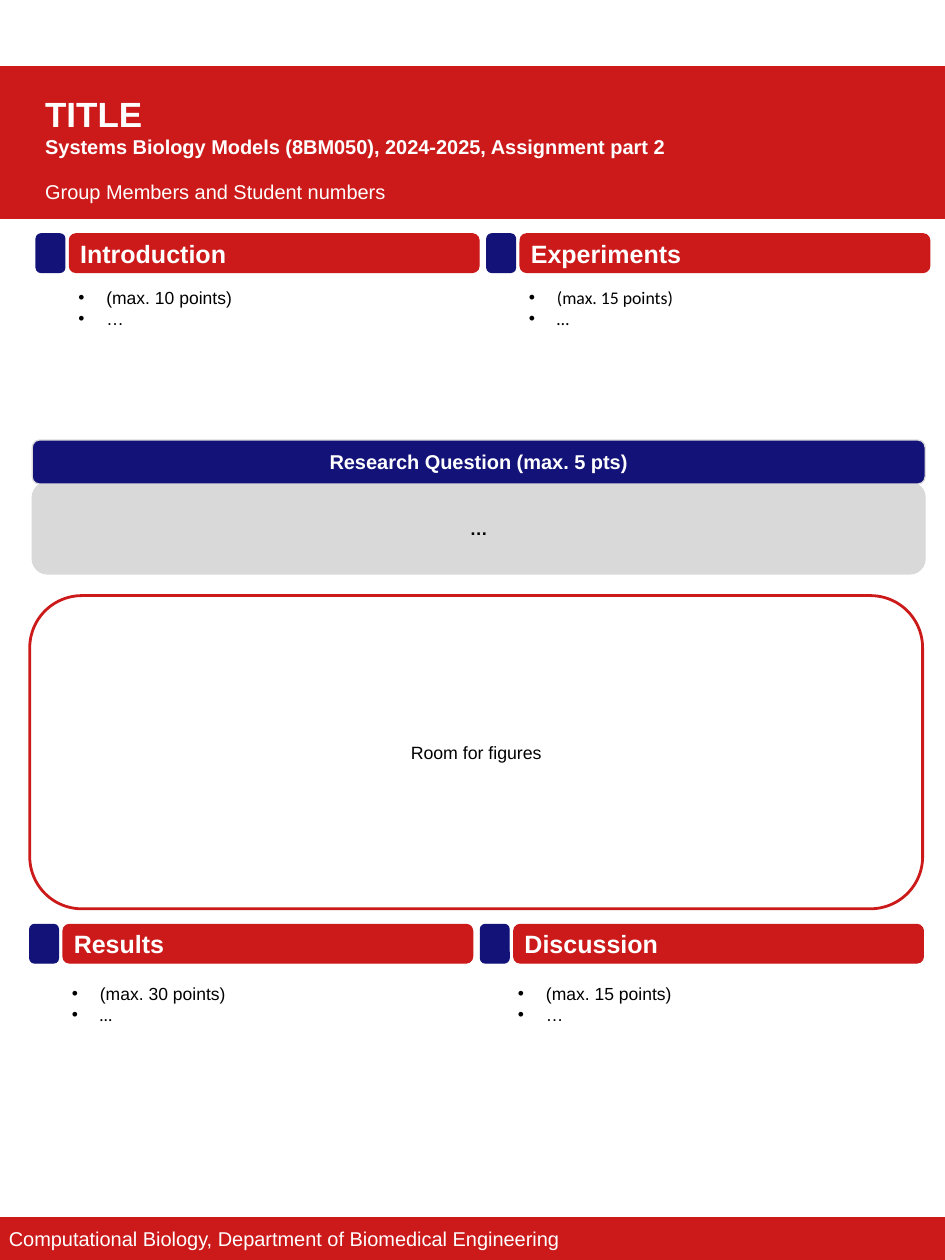
"""Build a one-page poster for a systems biology assignment."""
from dataclasses import dataclass

from lxml import etree
from pptx import Presentation
from pptx.dml.color import RGBColor
from pptx.enum.shapes import MSO_SHAPE
from pptx.enum.text import MSO_ANCHOR, MSO_AUTO_SIZE, PP_ALIGN
from pptx.oxml.ns import qn
from pptx.util import Cm, Pt

RECT, ROUNDED = MSO_SHAPE.RECTANGLE, MSO_SHAPE.ROUNDED_RECTANGLE
TOP, MIDDLE = MSO_ANCHOR.TOP, MSO_ANCHOR.MIDDLE
LEFT, CENTER = PP_ALIGN.LEFT, PP_ALIGN.CENTER
NO_AUTOFIT = MSO_AUTO_SIZE.NONE


@dataclass(frozen=True)
class Theme:
    """Colours, fonts and type sizes of the poster."""
    red: str = "CC1A1A"
    navy: str = "121279"
    grey: str = "D9D9D9"
    white: str = "FFFFFF"
    black: str = "000000"
    font: str = "Arial"
    alternate_font: str = "Calibri"
    title: float = 28
    heading: float = 20
    subtitle: float = 16
    body: float = 14
    label: float = 14.2


THEME = Theme()
PAGE_WIDTH, PAGE_HEIGHT = 26.67, 35.56
MARKER_WIDTH, HEADING_OFFSET, HEADING_WIDTH, HEADING_HEIGHT = 0.81, 0.94, 11.56, 1.09
COLUMN_PITCH, BODY_HEIGHT, BULLET_INDENT = 12.72, 1.45, 0.79

TITLE_LINES = [
    ("TITLE", THEME.title, True, 0),
    ("Systems Biology Models (8BM050), 2024-2025, Assignment part 2", THEME.subtitle, True, 0),
    ("Group Members and Student numbers", THEME.subtitle, False, 16.3),
]
SECTION_ROWS = [
    {"left": 1.02, "top": 6.6, "body_drop": 1.37, "sections": [
        ("Introduction", 0.94, THEME.body,
         [("(max. 10 points)", THEME.font), ("…", THEME.font)]),
        ("Experiments", 0.94, THEME.label,
         [("(max. 15 points)", THEME.alternate_font), ("…", THEME.alternate_font)]),
    ]},
    {"left": 0.84, "top": 26.09, "body_drop": 1.52, "sections": [
        ("Results", 0.94, THEME.body,
         [("(max. 30 points)", THEME.font), ("…", THEME.alternate_font)]),
        ("Discussion", 0.81, THEME.body,
         [("(max. 15 points)", THEME.font), ("…", THEME.font)]),
    ]},
]
QUESTION_HEADING, QUESTION = "Research Question (max. 5 pts)", "…"
FIGURES = "Room for figures"
FOOTER = "Computational Biology, Department of Biomedical Engineering"


def style(para, size, color, bold=False, font=THEME.font, align=LEFT):
    """Format a whole paragraph."""
    para.alignment = align
    para.font.name, para.font.size, para.font.bold = font, Pt(size), bold
    para.font.color.rgb = RGBColor.from_string(color)


def add_panel(shapes, kind, area, fill, line, line_width=1):
    """Add a filled, outlined panel."""
    panel = shapes.add_shape(kind, *map(Cm, area))
    panel.shadow.inherit = False
    panel.fill.solid()
    panel.fill.fore_color.rgb = RGBColor.from_string(fill)
    panel.line.color.rgb = RGBColor.from_string(line)
    panel.line.width = Pt(line_width)
    return panel


def label(panel, text, size, color, bold=False, align=LEFT):
    """Write one vertically centred line in a panel."""
    panel.text_frame.vertical_anchor = MIDDLE
    para = panel.text_frame.paragraphs[0]
    para.text = text
    style(para, size, color, bold, align=align)


def add_bullet(para):
    """Give a paragraph a hanging bullet."""
    properties = para._p.get_or_add_pPr()
    properties.set("marL", str(Cm(BULLET_INDENT)))
    properties.set("indent", str(-Cm(BULLET_INDENT)))
    etree.SubElement(properties, qn("a:buFont")).set("typeface", THEME.font)
    etree.SubElement(properties, qn("a:buChar")).set("char", "•")


def add_section(page, left, top, body_drop, section):
    """Add a marker, a heading bar and a bulleted body."""
    heading, body_offset, size, bullets = section
    group = page.shapes.add_group_shape()
    add_panel(group.shapes, ROUNDED, (left, top, MARKER_WIDTH, HEADING_HEIGHT),
              THEME.navy, THEME.navy)
    bar = add_panel(group.shapes, ROUNDED,
                    (left + HEADING_OFFSET, top, HEADING_WIDTH, HEADING_HEIGHT),
                    THEME.red, THEME.red)
    label(bar, heading, THEME.heading, THEME.white, bold=True)

    box = page.shapes.add_textbox(Cm(left + body_offset), Cm(top + body_drop),
                                  Cm(HEADING_WIDTH), Cm(BODY_HEIGHT))
    frame = box.text_frame
    frame.word_wrap = True
    for index, (text, font) in enumerate(bullets):
        para = frame.add_paragraph() if index else frame.paragraphs[0]
        para.text = text
        style(para, size, THEME.black, font=font)
        add_bullet(para)


def add_header(page):
    """Add the red band and set the title on top of it."""
    band = add_panel(page.shapes, RECT, (0, 1.88, PAGE_WIDTH, 4.29), THEME.red, THEME.red)
    title = page.shapes.title
    band._element.addnext(title._element)
    title.left, title.top, title.width, title.height = map(Cm, (1.02, 2.49, 24.61, 3.43))
    frame = title.text_frame
    frame.auto_size, frame.vertical_anchor, frame.word_wrap = NO_AUTOFIT, TOP, True
    for index, (text, size, bold, gap) in enumerate(TITLE_LINES):
        para = frame.add_paragraph() if index else frame.paragraphs[0]
        para.text = text
        para.space_before = Pt(gap)
        style(para, size, THEME.white, bold)


def add_question(page):
    """Add the research question with its heading."""
    group = page.shapes.add_group_shape()
    answer = add_panel(group.shapes, ROUNDED, (0.91, 13.61, 25.2, 2.59), THEME.grey, THEME.grey)
    label(answer, QUESTION, THEME.label, THEME.black, True, CENTER)
    heading = add_panel(group.shapes, ROUNDED, (0.91, 12.42, 25.2, 1.24), THEME.navy, THEME.grey)
    label(heading, QUESTION_HEADING, THEME.subtitle, THEME.white, True, CENTER)


def main():
    """Assemble and save the poster."""
    deck = Presentation()
    deck.slide_width, deck.slide_height = Cm(PAGE_WIDTH), Cm(PAGE_HEIGHT)
    page = deck.slides.add_slide(deck.slide_layouts.get_by_name("Title Only"))
    add_header(page)
    add_question(page)
    figures = add_panel(page.shapes, ROUNDED, (0.84, 16.81, 25.2, 8.84),
                        THEME.white, THEME.red, 2.25)
    label(figures, FIGURES, THEME.label, THEME.black, align=CENTER)
    for row in SECTION_ROWS:
        for column, section in enumerate(row["sections"]):
            add_section(page, row["left"] + column * COLUMN_PITCH, row["top"],
                        row["body_drop"], section)
    footer = add_panel(page.shapes, RECT, (0, 34.37, PAGE_WIDTH, 1.19), THEME.red, THEME.red)
    label(footer, FOOTER, THEME.subtitle, THEME.white)
    deck.save("out.pptx")


if __name__ == "__main__":
    main()
